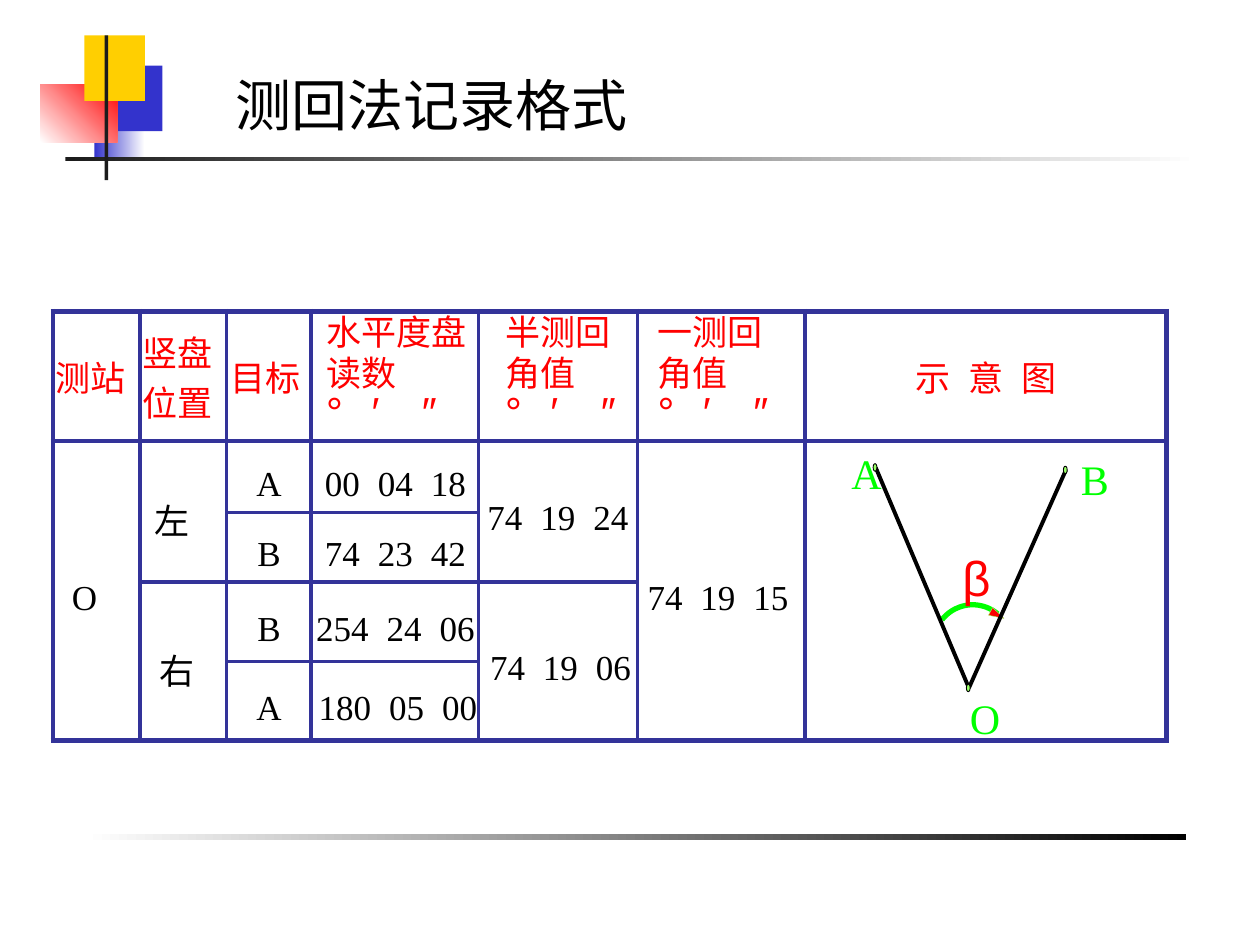
import math
from lxml import etree
from pptx import Presentation
from pptx import util as u
from pptx.dml import color
from pptx.enum import shapes, text
from pptx.oxml import ns

SERIF, GRID = "Times New Roman", "333399"
BLACK, RED, GREEN, LIME = "000000", "FF0000", "00FF00", "99FF66"
COLUMNS = [0.42, 1.11, 1.8, 2.47, 3.8, 5.06, 6.39, 9.26]
ROWS = [2.47, 3.5, 4.07, 4.62, 5.25, 5.88]
MARKS = "°\t′\t″"
# Header paragraphs and left margin of each column
HEADERS = [
    (["测站"], 0.02), (["竖盘", "位置"], 0.02), (["目标"], 0.03),
    (["水平度盘读数", MARKS], 0.12), (["半测回", "角值", MARKS], 0.21),
    (["一测回", "角值", MARKS], 0.16), (["示\t意\t图"], 0.88),
]
# Row, column, rows spanned, text and left margin; no margin means centred
READINGS = [
    (1, 0, 4, "O", 0.15), (1, 1, 2, "左", 0.12), (3, 1, 2, "右", 0.16),
    (1, 2, 1, "A", None), (2, 2, 1, "B", None), (3, 2, 1, "B", None), (4, 2, 1, "A", None),
    (1, 3, 1, "00\t04\t18", 0.11), (2, 3, 1, "74\t23\t42", 0.11),
    (3, 3, 1, "254\t24\t06", 0.04), (4, 3, 1, "180\t05\t00", 0.06),
    (1, 4, 2, "74\t19\t24", 0.07), (3, 4, 2, "74\t19\t06", 0.09),
    (1, 5, 4, "74\t19\t15", 0.08), (1, 6, 4, "", 0),
]


def rgb(value):
    return color.RGBColor.from_string(value)


def style(para, size, ink, font=SERIF):
    para.font.size, para.font.name = u.Pt(size), font
    para.font.color.rgb = rgb(ink)


def set_tabs(para, stops):
    tabs = etree.SubElement(para._p.get_or_add_pPr(), ns.qn("a:tabLst"))
    for stop in stops:
        etree.SubElement(tabs, ns.qn("a:tab"), pos=str(u.Inches(stop)), algn="l")


def add_block(page, kind, box, fill, line=None, width=0.5):
    """Add a shape; fill is one colour, or (start, end, angle) for a gradient."""
    block = page.shapes.add_shape(kind, *map(u.Inches, box))
    block.shadow.inherit = False
    if isinstance(fill, tuple):
        block.fill.gradient()
        block.fill.gradient_angle = fill[2]
        for stop, ink in zip(block.fill.gradient_stops, fill):
            stop.color.rgb = rgb(ink)
    else:
        block.fill.solid()
        block.fill.fore_color.rgb = rgb(fill)
    if line:
        block.line.color.rgb, block.line.width = rgb(line), u.Pt(width)
    else:
        block.line.fill.background()
    return block


def add_ornaments(page):
    for box, fill in [
        ((0.75, 0.76, 0.4, 0.52), ("3333CC", "FFFFFF", 0)),
        ((0.83, 0.52, 0.46, 0.52), "3333CC"),
        ((0.32, 0.67, 0.61, 0.46), ("FFFFFF", RED, 45)),
        ((0.52, 1.25, 9, 0.03), ("1C1C1C", "FFFFFF", 0)),
        ((0.67, 6.62, 8.74, 0.05), ("FFFFFF", BLACK, 0)),
        ((0.67, 0.28, 0.48, 0.52), "FFCF01"),
        ((0.83, 0.28, 0.03, 1.15), "1C1C1C"),
    ]:
        add_block(page, shapes.MSO_SHAPE.RECTANGLE, box, fill)


def set_title(page, box):
    title = page.shapes.title
    title.left, title.top, title.width, title.height = map(u.Inches, box)
    title.text_frame.text = "测回法记录格式"
    title.text_frame.vertical_anchor = text.MSO_ANCHOR.BOTTOM
    para = title.text_frame.paragraphs[0]
    para.alignment = text.PP_ALIGN.LEFT
    style(para, 32, BLACK, "Karla")


def fill_cell(cell, lines, margin, ink, top=0.0):
    cell.margin_left = u.Inches(margin or 0)
    cell.margin_right = cell.margin_bottom = 0
    cell.margin_top = u.Inches(top)
    cell.vertical_anchor = text.MSO_ANCHOR.MIDDLE
    frame = cell.text_frame
    for index, line in enumerate(lines):
        para = frame.add_paragraph() if index else frame.paragraphs[0]
        para.text = line
        para.alignment = text.PP_ALIGN.CENTER if margin is None else text.PP_ALIGN.LEFT
        if MARKS in lines:
            para.line_spacing = u.Pt(23)
        if line == MARKS:
            set_tabs(para, [0.36, 0.76])
            style(para, 24, ink, "Arial")
            continue
        if "\t" in line:
            first = 0.14 * (max(2, len(line.split("\t")[0])) + 1)
            set_tabs(para, [first, first + 0.42])
        style(para, 20, ink)


def draw_borders(cell, row, column):
    bottom = row + max(1, cell.span_height)
    outer = {"L": column == 0, "R": column == len(COLUMNS) - 2,
             "T": row == 0, "B": bottom == len(ROWS) - 1}
    tc_pr = cell._tc.get_or_add_tcPr()
    for side, is_outer in outer.items():
        line = etree.SubElement(tc_pr, ns.qn(f"a:ln{side}"), w=str(u.Pt(3 if is_outer else 2.25)))
        solid = etree.SubElement(line, ns.qn("a:solidFill"))
        etree.SubElement(solid, ns.qn("a:srgbClr"), val=GRID)
    cell.fill.background()


def add_record_table(page, xs, ys):
    frame = page.shapes.add_table(len(ys) - 1, len(xs) - 1, u.Inches(xs[0]), u.Inches(ys[0]),
                                  u.Inches(xs[-1] - xs[0]), u.Inches(ys[-1] - ys[0]))
    table = frame.table
    table.first_row = table.horz_banding = False
    for column, start, end in zip(table.columns, xs, xs[1:]):
        column.width = u.Inches(end - start)
    for row, start, end in zip(table.rows, ys, ys[1:]):
        row.height = u.Inches(end - start)
    for column, (lines, margin) in enumerate(HEADERS):
        fill_cell(table.cell(0, column), lines, margin, RED)
    for row, column, span, words, margin in READINGS:
        cell = table.cell(row, column)
        if span > 1:
            cell.merge(table.cell(row + span - 1, column))
        fill_cell(cell, [words], margin, BLACK, 0.12)
    for row in range(len(ys) - 1):
        for column in range(len(xs) - 1):
            draw_borders(table.cell(row, column), row, column)


def add_angle_sketch(page, left, top):
    """Draw the angle AOB, measured from the corner of its cell."""
    def place(x, y):
        return u.Inches(left + x), u.Inches(top + y)

    center, radius = (1.33, 1.61), 0.31
    points = [place(center[0] + radius * math.cos(math.radians(angle)),
                    center[1] - radius * math.sin(math.radians(angle)))
              for angle in range(142, 49, -4)]
    builder = page.shapes.build_freeform(*points[0])
    builder.add_line_segments(points[1:], close=False)
    arc = builder.convert_to_shape()
    arc.shadow.inherit = False
    arc.fill.background()
    arc.line.color.rgb, arc.line.width = rgb(GREEN), u.Pt(3)
    head = add_block(page, shapes.MSO_SHAPE.ISOSCELES_TRIANGLE,
                     (left + 1.49, top + 1.32, 0.07, 0.12), "FC0000", LIME, 0.25)
    head.rotation = 117.8

    station, targets = (1.3, 1.96), [(0.56, 0.21), (2.07, 0.23)]
    for target in targets:
        ray = page.shapes.add_connector(shapes.MSO_CONNECTOR.STRAIGHT,
                                        *place(*target), *place(*station))
        ray.line.color.rgb, ray.line.width = rgb(BLACK), u.Pt(2.25)
        etree.SubElement(ray._element.spPr, ns.qn("a:effectLst"))
    for x, y in [station, *targets]:
        add_block(page, shapes.MSO_SHAPE.OVAL,
                  (left + x - 0.02, top + y - 0.03, 0.03, 0.06), LIME, BLACK)

    for words, x, y, size, ink, font in [
        ("A", 0.27, 0, 24, GREEN, SERIF), ("B", 2.09, 0.05, 24, GREEN, SERIF),
        ("O", 1.21, 1.95, 24, GREEN, SERIF), ("β", 1.15, 0.8, 28, RED, "Arial"),
    ]:
        label = page.shapes.add_textbox(*place(x, y), u.Inches(0.44), u.Inches(0.5))
        label.text_frame.word_wrap = False
        label.text_frame.text = words
        style(label.text_frame.paragraphs[0], size, ink, font)


def main():
    deck = Presentation()
    deck.slide_width, deck.slide_height = u.Inches(10), u.Inches(7.5)
    page = deck.slides.add_slide(deck.slide_layouts[5])
    add_ornaments(page)
    set_title(page, (1.77, 0.52, 5.13, 0.62))
    add_record_table(page, COLUMNS, ROWS)
    add_angle_sketch(page, COLUMNS[-2], ROWS[1])
    deck.save("out.pptx")


if __name__ == "__main__":
    main()
